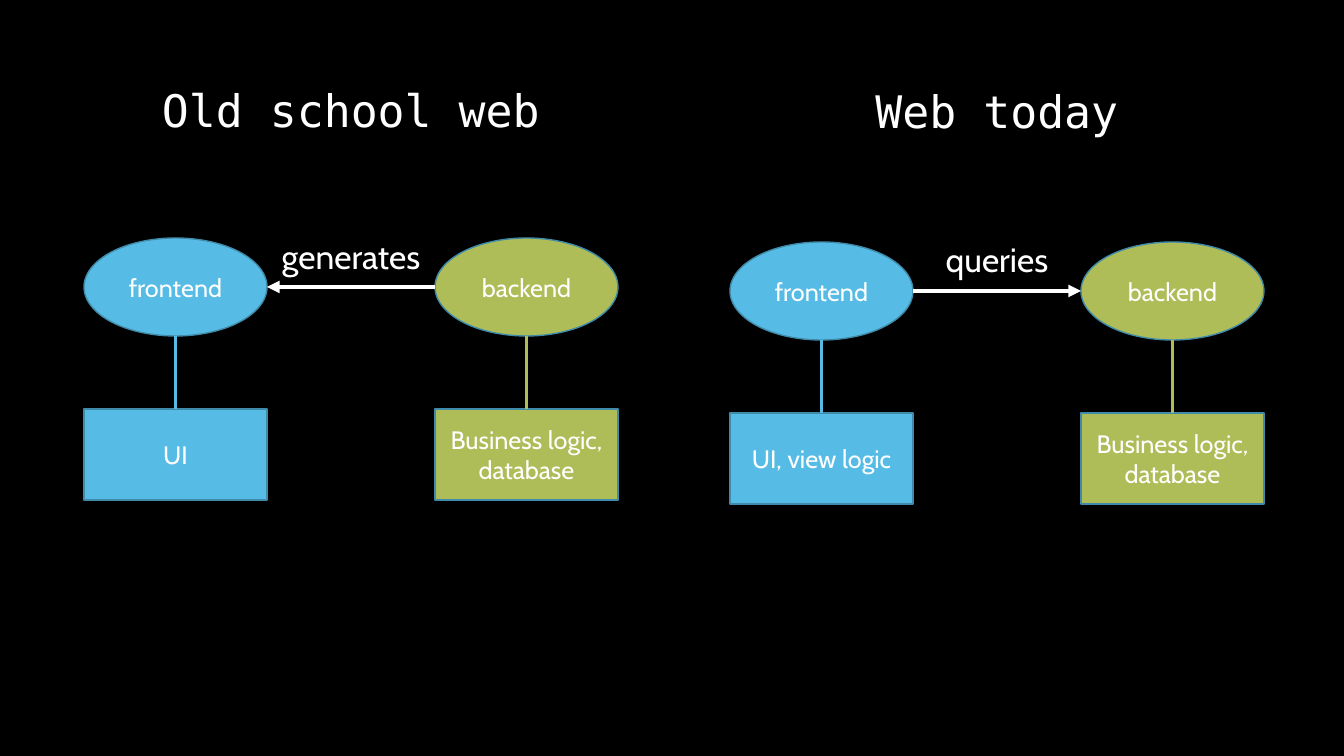
from lxml import etree
from pptx import Presentation
from pptx import util as u
from pptx.dml.color import RGBColor
from pptx.enum import shapes, text
from pptx.oxml.ns import qn

BLACK = RGBColor(0x00, 0x00, 0x00)
WHITE = RGBColor(0xFF, 0xFF, 0xFF)
BLUE = RGBColor(0x57, 0xBC, 0xE5)
GREEN = RGBColor(0xAE, 0xBD, 0x57)
OUTLINE = RGBColor(0x40, 0x8B, 0xA9)
BODY_FONT, TITLE_FONT = "Cabin", "DejaVu Sans Mono"

# Content: one entry per diagram, positions in px
DIAGRAMS = [
    {"title": "Old school web", "title_top": 84, "left": 84, "top": 238,
     "label": "generates", "to_frontend": True,
     "duties": ["UI", "Business logic, database"]},
    {"title": "Web today", "title_top": 85, "left": 730, "top": 242,
     "label": "queries", "to_frontend": False,
     "duties": ["UI, view logic", "Business logic, database"]},
]
TIERS = [("frontend", BLUE), ("backend", GREEN)]

# Layout in px
SLIDE_W, SLIDE_H = 1344, 756
NODE_W, OVAL_H, BOX_H = 183, 98, 91
PITCH = 351           # left edge of frontend to left edge of backend
BOX_DROP = 171        # top of oval to top of box
TITLE_H, LABEL_H, LABEL_RISE = 59, 46, 3


def px(n):
    return u.Emu(round(n * 914400 / 100.8))


def write(sp, words, size, font=BODY_FONT):
    tf = sp.text_frame
    tf.word_wrap = True
    p = tf.paragraphs[0]
    p.text = words
    p.alignment = text.PP_ALIGN.CENTER
    p.font.size = u.Pt(size)
    p.font.name = font
    p.font.color.rgb = WHITE
    return tf, p


def add_node(s, kind, x, y, h, words, color):
    sp = s.shapes.add_shape(kind, px(x), px(y), px(NODE_W), px(h))
    sp.shadow.inherit = False
    sp.fill.solid()
    sp.fill.fore_color.rgb = color
    sp.line.color.rgb = OUTLINE
    sp.line.width = u.Pt(1)
    tf, _ = write(sp, words, 18)
    tf.vertical_anchor = text.MSO_ANCHOR.MIDDLE


def add_text(s, x, y, w, h, words, size, font=BODY_FONT):
    sp = s.shapes.add_textbox(px(x), px(y), px(w), px(h))
    tf, p = write(sp, words, size, font)
    tf.auto_size = text.MSO_AUTO_SIZE.SHAPE_TO_FIT_TEXT
    p.line_spacing = 0.9


def add_line(s, x1, y1, x2, y2, color, width, arrow=False):
    line = s.shapes.add_connector(shapes.MSO_CONNECTOR.STRAIGHT,
                                  px(x1), px(y1), px(x2), px(y2))
    line.line.color.rgb = color
    line.line.width = u.Pt(width)
    spPr = line._element.spPr
    if arrow:
        etree.SubElement(spPr.find(qn("a:ln")), qn("a:tailEnd"), type="triangle")
    etree.SubElement(spPr, qn("a:effectLst"))


def add_diagram(s, d):
    left, top = d["left"], d["top"]
    box_top = top + BOX_DROP

    # Tiers: oval, box below it, and the line between them
    for i, ((name, color), duty) in enumerate(zip(TIERS, d["duties"])):
        x = left + i * PITCH
        add_node(s, shapes.MSO_SHAPE.OVAL, x, top, OVAL_H, name, color)
        add_node(s, shapes.MSO_SHAPE.RECTANGLE, x, box_top, BOX_H, duty, color)
        mid = x + NODE_W / 2
        add_line(s, mid, top + OVAL_H, mid, box_top, color, 2)

    # Arrow between the tiers, with its label
    start, end = left + NODE_W, left + PITCH
    tail, head = (end, start) if d["to_frontend"] else (start, end)
    y = top + OVAL_H / 2
    add_line(s, tail, y, head, y, WHITE, 3, arrow=True)
    add_text(s, start, top - LABEL_RISE, end - start, LABEL_H, d["label"], 24)

    # Title over the whole diagram
    add_text(s, left, d["title_top"], PITCH + NODE_W, TITLE_H,
             d["title"], 32, TITLE_FONT)


def main():
    prs = Presentation()
    prs.slide_width, prs.slide_height = px(SLIDE_W), px(SLIDE_H)
    s = prs.slides.add_slide(prs.slide_layouts[6])
    s.background.fill.solid()
    s.background.fill.fore_color.rgb = BLACK
    for d in DIAGRAMS:
        add_diagram(s, d)
    prs.save("out.pptx")


if __name__ == "__main__":
    main()
